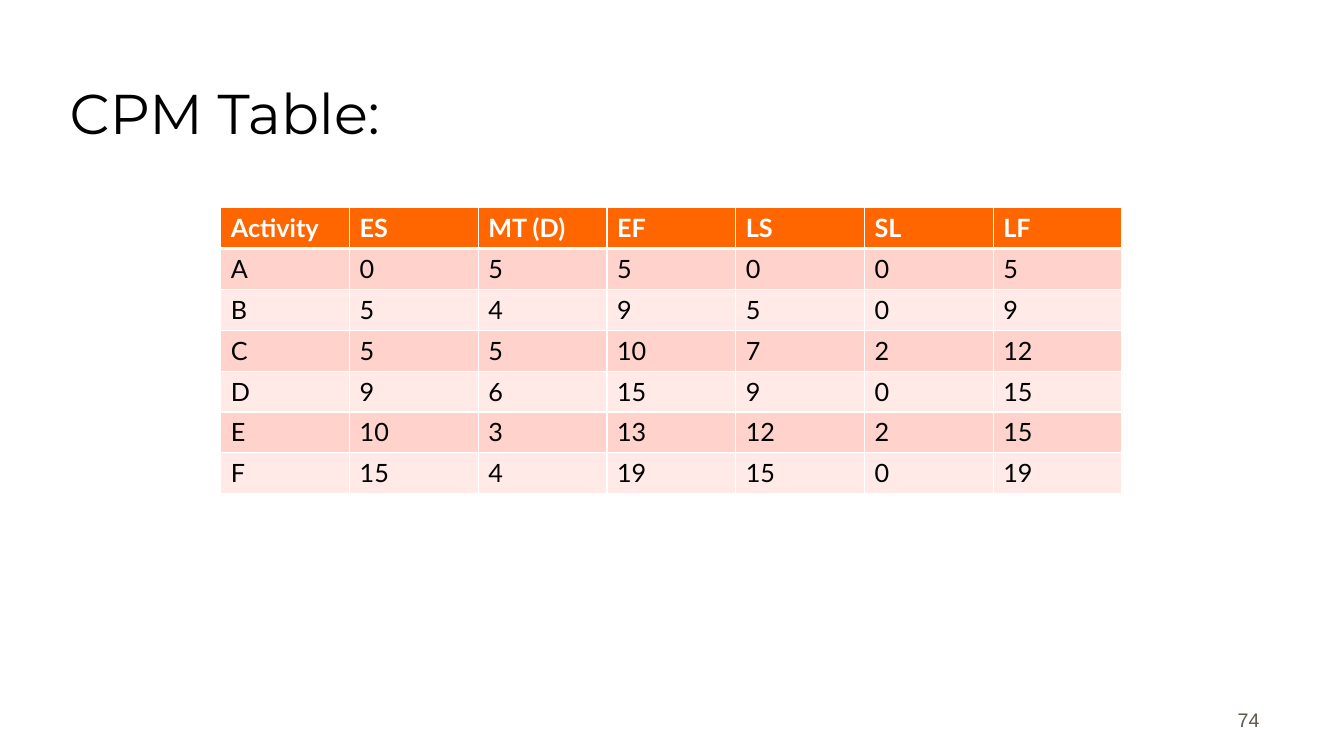
from lxml.etree import SubElement
from pptx import Presentation
from pptx.dml.color import RGBColor
from pptx.enum.text import MSO_ANCHOR as Anchor, PP_ALIGN as Align
from pptx.oxml.ns import qn
from pptx.util import Inches, Pt

COLORS = {
    "white": "FFFFFF",
    "black": "000000",
    "header": "FF6600",
    "odd": "FFD3CC",
    "even": "FFEAE7",
    "number": "5E574E",
}
ROWS = [
    ["Activity", "ES", "MT (D)", "EF", "LS", "SL", "LF"],
    ["A", 0, 5, 5, 0, 0, 5],
    ["B", 5, 4, 9, 5, 0, 9],
    ["C", 5, 5, 10, 7, 2, 12],
    ["D", 9, 6, 15, 9, 0, 15],
    ["E", 10, 3, 13, 12, 2, 15],
    ["F", 15, 4, 19, 15, 0, 19],
]


def add_span(para, text, font, size, color, bold=False):
    span = para.add_run()
    span.text = text
    span.font.name = font
    span.font.size = Pt(size)
    span.font.bold = bold
    span.font.color.rgb = RGBColor.from_string(COLORS[color])


def add_border(cell, side, width):
    properties = cell._tc.get_or_add_tcPr()
    line = SubElement(properties, qn(f"a:ln{side}"), w=str(Pt(width)))
    fill = SubElement(line, qn("a:solidFill"))
    SubElement(fill, qn("a:srgbClr"), val=COLORS["white"])


deck = Presentation()
deck.slide_width = Inches(13.33)
deck.slide_height = Inches(7.5)
page = deck.slides.add_slide(deck.slide_layouts[5])

title = page.shapes.title
title.left, title.top = Inches(0.59), Inches(0.25)
title.width, title.height = Inches(11.33), Inches(1.25)
title.text_frame.vertical_anchor = Anchor.BOTTOM
para = title.text_frame.paragraphs[0]
para.alignment = Align.LEFT
add_span(para, "CPM Table:", "Montserrat", 40, "black")

table = page.shapes.add_table(
    len(ROWS), len(ROWS[0]), Inches(2.19), Inches(2.06), Inches(8.94), Inches(2.84)
).table
for row, values in enumerate(ROWS):
    is_header = row == 0
    band = "header" if is_header else "odd" if row % 2 else "even"
    for column, value in enumerate(values):
        cell = table.cell(row, column)
        for side in "LRTB":
            thick = (row, side) in [(0, "B"), (1, "T")]
            add_border(cell, side, 3 if thick else 1)
        cell.fill.solid()
        cell.fill.fore_color.rgb = RGBColor.from_string(COLORS[band])
        color = "white" if is_header else "black"
        add_span(cell.text_frame.paragraphs[0], str(value), "Lato", 18, color, is_header)

box = page.shapes.add_textbox(Inches(9.81), Inches(6.81), Inches(2.78), Inches(0.5))
box.text_frame.word_wrap = True
box.text_frame.vertical_anchor = Anchor.BOTTOM
para = box.text_frame.paragraphs[0]
para.alignment = Align.RIGHT
add_span(para, "74", "Arial", 14, "number")

deck.save("out.pptx")
